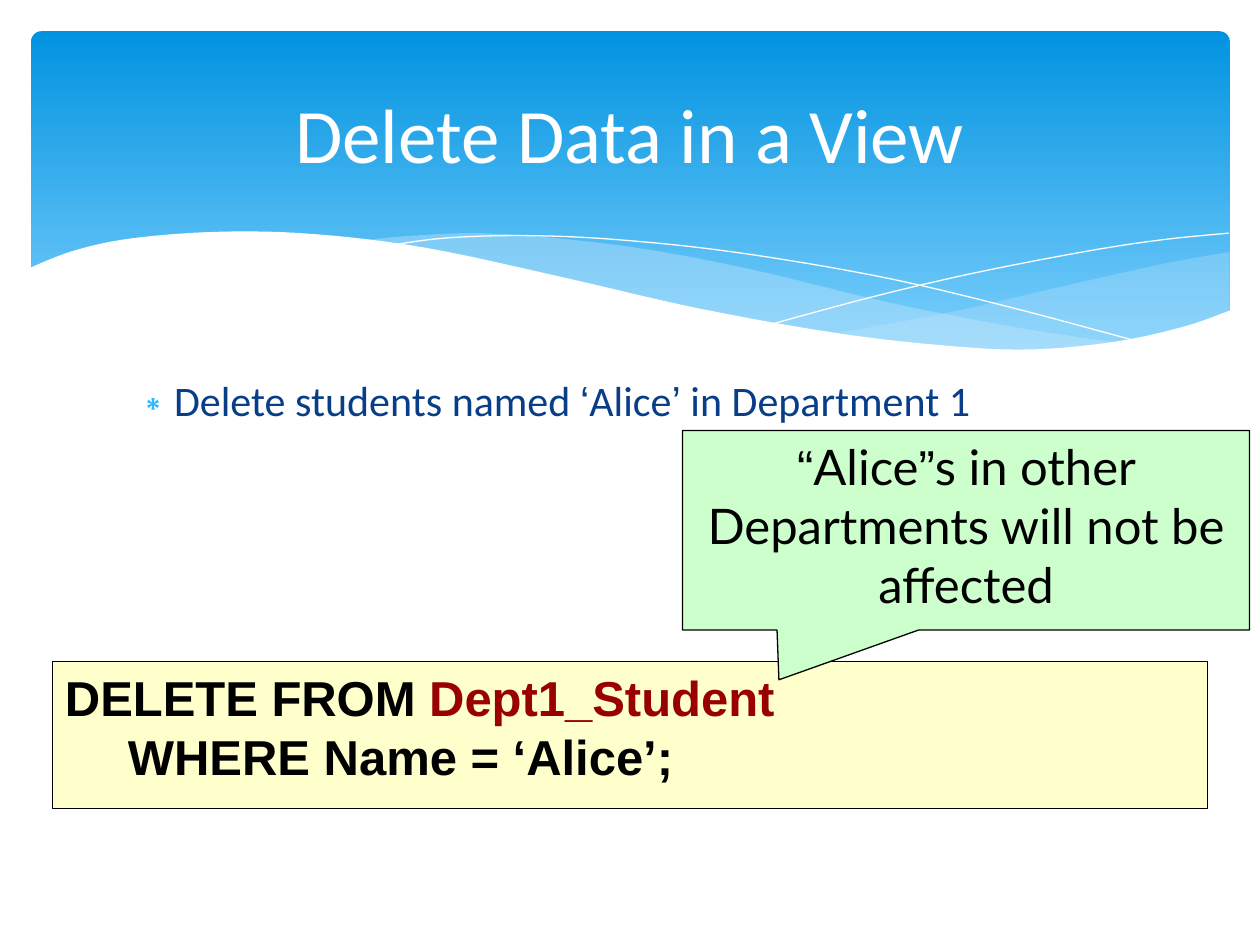
from dataclasses import dataclass
from typing import Optional

from lxml import etree
from pptx import Presentation
from pptx.dml.color import RGBColor
from pptx.enum.shapes import MSO_SHAPE
from pptx.enum.text import MSO_ANCHOR, MSO_AUTO_SIZE, PP_ALIGN
from pptx.oxml.ns import qn
from pptx.util import Cm, Pt

ROUNDED, RECTANGLE = MSO_SHAPE.ROUNDED_RECTANGLE, MSO_SHAPE.RECTANGLE
CALLOUT = MSO_SHAPE.RECTANGULAR_CALLOUT
LEFT, CENTER = PP_ALIGN.LEFT, PP_ALIGN.CENTER
TOP, MIDDLE = MSO_ANCHOR.TOP, MSO_ANCHOR.MIDDLE
NO_AUTOFIT = MSO_AUTO_SIZE.NONE

WHITE = RGBColor(0xFF, 0xFF, 0xFF)
BLACK = RGBColor(0x00, 0x00, 0x00)
BANNER_TOP = RGBColor(0x02, 0x93, 0xE0)
BANNER_BOTTOM = RGBColor(0x83, 0xD3, 0xFE)
WAVE_BLUE = RGBColor(0xC6, 0xE7, 0xFC)
BODY_BLUE = RGBColor(0x07, 0x3E, 0x87)
BULLET_BLUE = RGBColor(0x31, 0xB6, 0xFD)
CODE_YELLOW = RGBColor(0xFF, 0xFF, 0xCC)
NOTE_GREEN = RGBColor(0xCC, 0xFF, 0xCC)
VIEW_RED = RGBColor(0x99, 0x00, 0x00)

Point = tuple[float, float]
STEPS = 6  # straight pieces between two anchor points


@dataclass
class Wave:
    """Smooth edges in centimetres, drawn one after another."""
    edges: list[list[Point]]
    fill: Optional[RGBColor] = None
    opacity: int = 100


@dataclass
class Span:
    text: str
    font: str
    color: RGBColor = BLACK


@dataclass
class Panel:
    preset: MSO_SHAPE
    box: tuple[float, float, float, float]
    fill: RGBColor
    lines: list[list[Span]]
    align: PP_ALIGN = LEFT
    bold: bool = False
    adjustments: tuple[float, ...] = ()


WAVES = [
    # Right ripple
    Wave([[(24.79, 5.08), (23.39, 5.33), (21.13, 5.84), (19.13, 6.3), (16.79, 6.73)],
          [(16.79, 6.73), (17.91, 6.88), (19.23, 7.01), (20.68, 7.06), (22.15, 6.96),
           (23.57, 6.68), (24.79, 6.27)]], WAVE_BLUE, 29),
    # Long ripple
    Wave([[(7.26, 4.85), (8.33, 4.75), (9.65, 4.7), (11.2, 4.8), (13.06, 5.03),
           (15.19, 5.44), (17.93, 6.1), (20.5, 6.6), (22.68, 6.93)],
          [(22.68, 6.93), (21.29, 7.06), (20.22, 7.09), (18.69, 6.99), (16.51, 6.71),
           (14.38, 6.3), (11.4, 5.64), (9.19, 5.16), (7.26, 4.85)]], WAVE_BLUE, 40),
    # Thin white lines
    Wave([[(7.85, 4.95), (8.97, 4.8), (10.57, 4.75), (12.42, 4.83), (14.78, 5.08),
           (17.65, 5.56), (20.19, 6.15), (23.04, 6.91)]]),
    Wave([[(15.57, 6.53), (17.65, 5.97), (19.71, 5.49), (22, 5.05), (23.47, 4.83),
           (24.77, 4.7)]]),
    # White lower edge of the banner
    Wave([[(0.58, 5.41), (1.5, 5.05), (2.69, 4.8), (4.47, 4.67), (6.35, 4.72),
           (8.61, 5), (11.35, 5.59), (14.1, 6.22), (16.97, 6.73), (19.33, 6.99),
           (20.9, 7.04), (22.53, 6.88), (23.88, 6.58), (24.82, 6.25)],
          [(24.82, 8.36), (0.58, 8.36)]], WHITE),
]

BULLET = [Span("Delete students named ", "Calibri", BODY_BLUE), Span("‘", "Arial", BODY_BLUE),
          Span("Alice", "Calibri", BODY_BLUE), Span("’", "Arial", BODY_BLUE),
          Span(" in Department 1", "Calibri", BODY_BLUE)]

PANELS = [
    Panel(RECTANGLE, (1.06, 13.33, 23.29, 2.97), CODE_YELLOW,
          [[Span("DELETE FROM ", "Arial"), Span("Dept1_Student", "Arial", VIEW_RED)],
           [Span("\tWHERE Name = ‘Alice’;", "Arial")]], bold=True),
    Panel(CALLOUT, (13.76, 8.68, 11.43, 4.02), NOTE_GREEN,
          [[Span("“", "Arial"), Span("Alice", "Lato"), Span("”", "Arial"),
            Span("s in other Departments will not be affected", "Lato")]],
          align=CENTER, adjustments=(-0.33, 0.75)),
]


def smooth(anchors: list[Point]) -> list[Point]:
    """Catmull-Rom curve through the anchor points."""
    padded = [anchors[0], *anchors, anchors[-1]]
    curve = [anchors[0]]
    for a, b, c, d in zip(padded, padded[1:], padded[2:], padded[3:]):
        for step in range(1, STEPS + 1):
            t = step / STEPS
            curve.append(tuple(
                q + t / 2 * (r - p + t * (2 * p - 5 * q + 4 * r - s
                                          + t * (3 * q - p - 3 * r + s)))
                for p, q, r, s in zip(a, b, c, d)))
    return curve


def draw_wave(page, wave: Wave) -> None:
    points = [(Cm(x), Cm(y)) for edge in wave.edges for x, y in smooth(edge)]
    builder = page.shapes.build_freeform(*points[0])
    builder.add_line_segments(points[1:], close=wave.fill is not None)
    shape = builder.convert_to_shape()
    shape.shadow.inherit = False
    if wave.fill is None:
        shape.fill.background()
        shape.line.color.rgb = WHITE
        shape.line.width = Pt(0)
        return
    shape.fill.solid()
    shape.fill.fore_color.rgb = wave.fill
    shape.line.fill.background()
    if wave.opacity < 100:
        color = shape._element.spPr.find(qn("a:solidFill"))[0]
        etree.SubElement(color, qn("a:alpha"), val=str(wave.opacity * 1000))


def write(para, spans: list[Span], size: int, align: PP_ALIGN, bold: bool = False) -> None:
    para.alignment = align
    para.space_before = Pt(0)
    for span in spans:
        run = para.add_run()
        run.text = span.text
        run.font.name, run.font.size, run.font.bold = span.font, Pt(size), bold
        run.font.color.rgb = span.color


def draw_panel(page, panel: Panel) -> None:
    shape = page.shapes.add_shape(panel.preset, *map(Cm, panel.box))
    shape.shadow.inherit = False
    shape.fill.solid()
    shape.fill.fore_color.rgb = panel.fill
    shape.line.color.rgb = BLACK
    shape.line.width = Pt(0.75)
    for index, value in enumerate(panel.adjustments):
        shape.adjustments[index] = value
    frame = shape.text_frame
    frame.word_wrap = True
    frame.vertical_anchor = TOP
    for index, spans in enumerate(panel.lines):
        para = frame.add_paragraph() if index else frame.paragraphs[0]
        write(para, spans, 28, panel.align, panel.bold)


def place(holder, box: tuple[float, float, float, float], anchor: MSO_ANCHOR):
    """Move a placeholder, bring it to the front and return its first paragraph."""
    holder.left, holder.top, holder.width, holder.height = map(Cm, box)
    holder._element.getparent().append(holder._element)
    holder.text_frame.auto_size = NO_AUTOFIT
    holder.text_frame.vertical_anchor = anchor
    return holder.text_frame.paragraphs[0]


def add_bullet(para) -> None:
    properties = para._p.get_or_add_pPr()
    properties.set("marL", str(Cm(0.76)))
    properties.set("indent", str(Cm(-0.76)))
    color = etree.SubElement(properties, qn("a:buClr"))
    etree.SubElement(color, qn("a:srgbClr"), val=str(BULLET_BLUE))
    etree.SubElement(properties, qn("a:buChar"), char="∗")


def main() -> None:
    deck = Presentation()
    deck.slide_width, deck.slide_height = Cm(25.4), Cm(19.05)
    page = deck.slides.add_slide(deck.slide_layouts[1])

    # Banner with waves
    banner = page.shapes.add_shape(ROUNDED, Cm(0.63), Cm(0.63), Cm(24.16), Cm(6.86))
    banner.adjustments[0] = 0.03
    banner.shadow.inherit = False
    banner.line.fill.background()
    banner.fill.gradient()
    banner.fill.gradient_angle = 270
    for stop, color in zip(banner.fill.gradient_stops, (BANNER_TOP, BANNER_BOTTOM)):
        stop.color.rgb = color
    for wave in WAVES:
        draw_wave(page, wave)

    # Bullet and title
    bullet = place(page.placeholders[1], (2.41, 7.42, 20.57, 9.58), TOP)
    add_bullet(bullet)
    write(bullet, BULLET, 24, LEFT)
    title = place(page.shapes.title, (1.27, 0.94, 22.86, 3.48), MIDDLE)
    write(title, [Span("Delete Data in a View", "Calibri", WHITE)], 44, CENTER)

    # Statement and remark
    for panel in PANELS:
        draw_panel(page, panel)

    deck.save("out.pptx")


if __name__ == "__main__":
    main()
